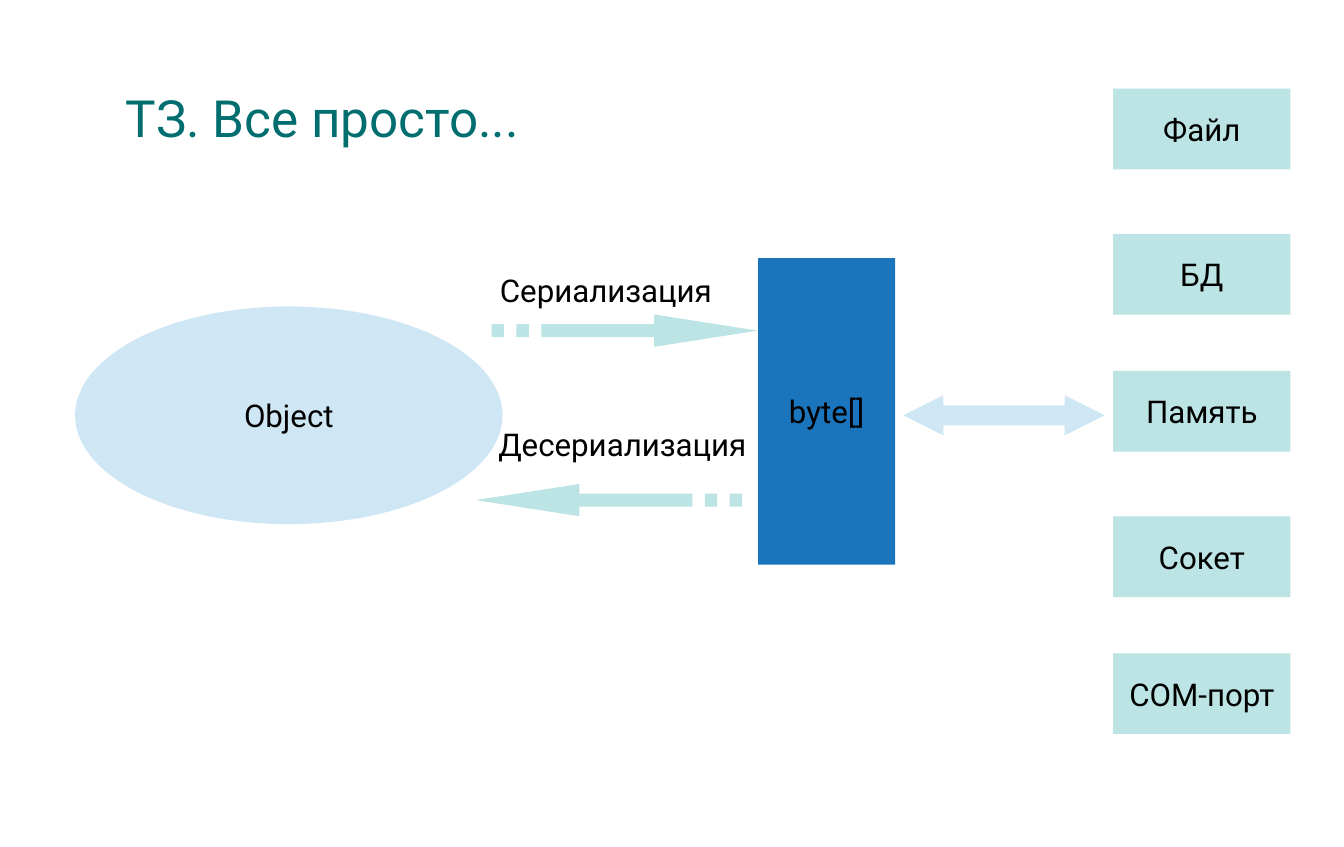
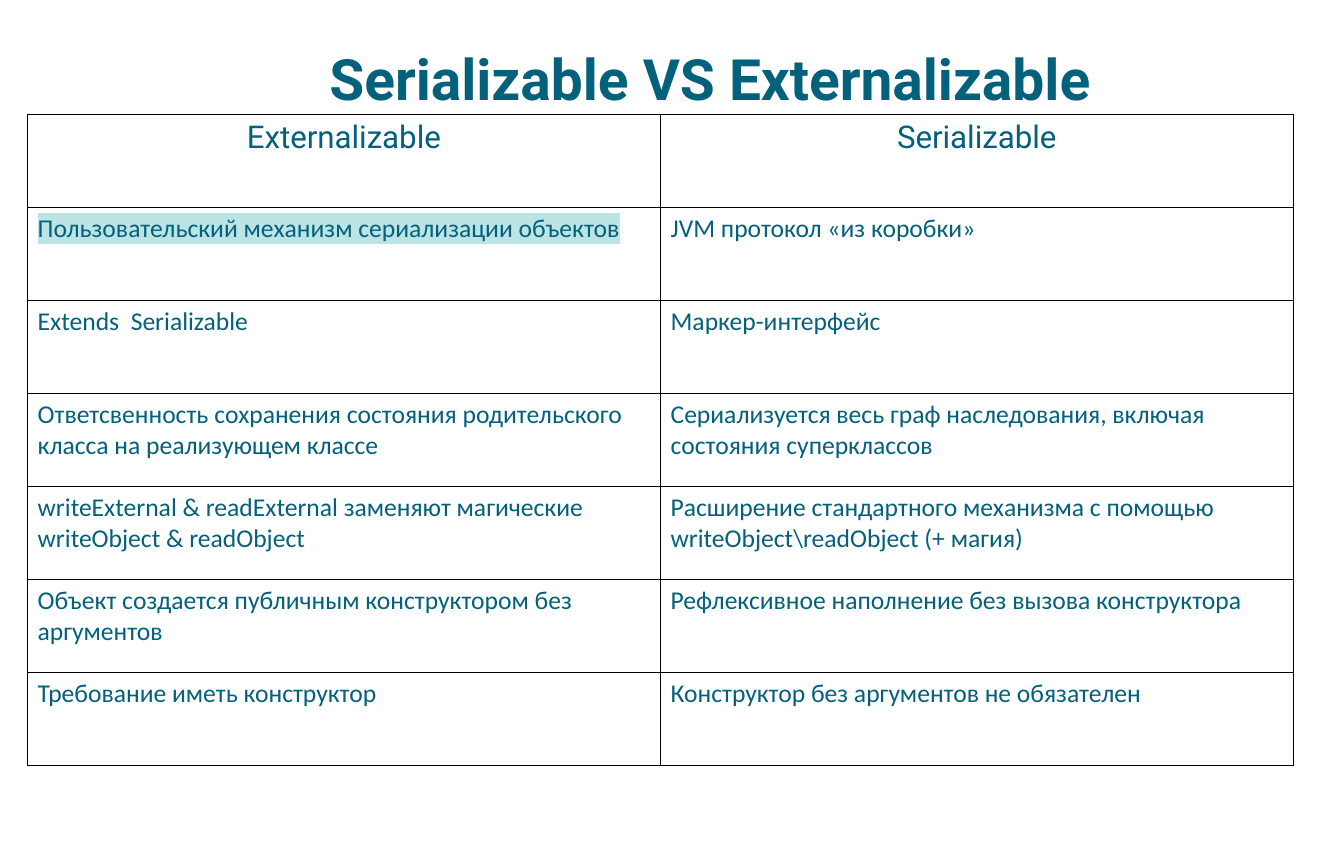
from lxml import etree
from pptx import Presentation
from pptx.dml.color import RGBColor
from pptx.enum import shapes, text
from pptx.oxml import ns
from pptx.util import Pt

BLACK = RGBColor(0x00, 0x00, 0x00)
SKY = RGBColor(0xCF, 0xE7, 0xF5)
BLUE = RGBColor(0x1B, 0x75, 0xBC)
MINT = RGBColor(0xBC, 0xE4, 0xE5)
GREEN = RGBColor(0x00, 0x6D, 0x6F)
TEAL = RGBColor(0x04, 0x61, 0x7B)

LABEL = {"name": "Roboto", "size": Pt(22)}
TITLE = {"name": "Roboto", "size": Pt(36)}
HEADING = {"name": "Roboto", "size": Pt(40), "bold": True}
BODY = {"name": "Calibri", "size": Pt(18)}
EDGES = ("margin_left", "margin_top", "margin_right", "margin_bottom")
MIDDLE = {"vertical_anchor": text.MSO_ANCHOR.MIDDLE, "word_wrap": False,
          **dict.fromkeys(EDGES, Pt(2.88))}

SINKS = {"Файл": 62.4, "БД": 164.4, "Память": 260.7, "Сокет": 363, "СОМ-порт": 459.2}
ROWS = (
    ("Externalizable", "Serializable"),
    ("Пользовательский механизм сериализации объектов",
     "JVM протокол «из коробки»"),
    ("Extends  Serializable", "Маркер-интерфейс"),
    ("Ответсвенность сохранения состояния родительского класса на реализующем классе",
     "Сериализуется весь граф наследования, включая состояния суперклассов"),
    ("writeExternal & readExternal заменяют магические writeObject & readObject",
     "Расширение стандартного механизма с помощью writeObject\\readObject (+ магия)"),
    ("Объект создается публичным конструктором без аргументов",
     "Рефлексивное наполнение без вызова конструктора"),
    ("Требование иметь конструктор", "Конструктор без аргументов не обязателен"),
)


def apply(item, values):
    """Set every format value on the item."""
    for key, value in values.items():
        setattr(item, key, value)


def write(frame, words, style, color, align=text.PP_ALIGN.CENTER):
    """Write one styled paragraph and return its run."""
    para = frame.paragraphs[0]
    para.alignment = align
    run = para.add_run()
    run.text = words
    apply(run.font, style)
    run.font.color.rgb = color
    return run


def label(slide, box, words, style=LABEL, color=BLACK):
    """Add a text box with centred text."""
    frame = slide.shapes.add_textbox(*map(Pt, box)).text_frame
    apply(frame, MIDDLE)
    write(frame, words, style, color)


def paint(shape, color):
    """Give a shape a flat fill without outline or shadow."""
    shape.shadow.inherit = False
    shape.fill.solid()
    shape.fill.fore_color.rgb = color
    shape.line.fill.background()


def block(slide, kind, box, color, words=""):
    """Add a flat preset shape, with a label if there are words."""
    shape = slide.shapes.add_shape(kind, *map(Pt, box))
    paint(shape, color)
    if words:
        apply(shape.text_frame, MIDDLE)
        write(shape.text_frame, words, LABEL, BLACK)
    return shape


def dart(slide, tail, mid, way):
    """Add a striped arrow from its tail; way is 1 for right, -1 for left."""
    half, neck, tip = 4.6, 114.4, 187.2
    bars = [[(a, -half), (a, half), (a + 8.75, half), (a + 8.75, -half)]
            for a in (0, 17.5)]
    body = [(35, -half), (neck, -half), (neck, -11.35), (tip, 0),
            (neck, 11.35), (neck, half), (35, half)]
    build = None
    for part in (body, *bars):
        dots = [(Pt(tail + way * x), Pt(mid + y)) for x, y in part]
        if build:
            build.move_to(*dots[0])
        else:
            build = slide.shapes.build_freeform(*dots[0])
        build.add_line_segments(dots[1:], close=True)
    paint(build.convert_to_shape(), MINT)


def border(cell):
    """Draw a thin black line on all four sides of a cell."""
    props = cell._tc.get_or_add_tcPr()
    for spot, side in enumerate(("lnL", "lnR", "lnT", "lnB")):
        line = etree.Element(ns.qn("a:" + side), w=str(Pt(1)))
        fill = etree.SubElement(line, ns.qn("a:solidFill"))
        etree.SubElement(fill, ns.qn("a:srgbClr"), val=str(BLACK))
        props.insert(spot, line)


def mark(run, color):
    """Highlight a run."""
    light = etree.Element(ns.qn("a:highlight"))
    etree.SubElement(light, ns.qn("a:srgbClr"), val=str(color))
    run.font._element.find(ns.qn("a:latin")).addprevious(light)


def grid(slide, box, rows):
    """Add the plain ruled table with a centred first row."""
    table = slide.shapes.add_table(len(rows), len(rows[0]), *map(Pt, box)).table
    apply(table, {"first_row": False, "horz_banding": False})
    for r, row in enumerate(rows):
        for c, words in enumerate(row):
            cell = table.cell(r, c)
            cell.fill.background()
            border(cell)
            style, align = ((BODY, text.PP_ALIGN.LEFT) if r
                            else (LABEL, text.PP_ALIGN.CENTER))
            run = write(cell.text_frame, words, style, TEAL, align)
            if (r, c) == (1, 0):
                mark(run, MINT)


def flow(slide):
    """Build the serialization diagram."""
    kind = shapes.MSO_SHAPE
    block(slide, kind.OVAL, (52.8, 215.4, 300.5, 153), SKY, "Object")
    block(slide, kind.RECTANGLE, (533, 181.4, 96.4, 215.5), BLUE, "byte[]")
    for words, top in SINKS.items():
        block(slide, kind.RECTANGLE, (782.6, top, 124.7, 56.7), MINT, words)
    both = block(slide, kind.LEFT_RIGHT_ARROW, (635, 277.8, 141.7, 28.3), SKY)
    both.adjustments[1] = 1
    dart(slide, 345.6, 232.4, 1)
    label(slide, (348, 187.2, 156, 33.1), "Сериализация")
    dart(slide, 521.8, 351.5, -1)
    label(slide, (346.5, 295.2, 182, 33.1), "Десериализация")
    label(slide, (34, 34, 385.2, 96.5), "ТЗ. Все просто...", TITLE, GREEN)


def versus(slide):
    """Build the comparison table."""
    label(slide, (73.9, 16.6, 850.3, 75.6), "Serializable VS Externalizable",
          HEADING, TEAL)
    grid(slide, (19.3, 80.6, 890, 457.6), ROWS)


def main():
    """Build and save both slides."""
    deck = Presentation()
    apply(deck, {"slide_width": Pt(944.9), "slide_height": Pt(595.3)})
    for draw in (flow, versus):
        draw(deck.slides.add_slide(deck.slide_layouts[6]))
    deck.save("out.pptx")


main()
